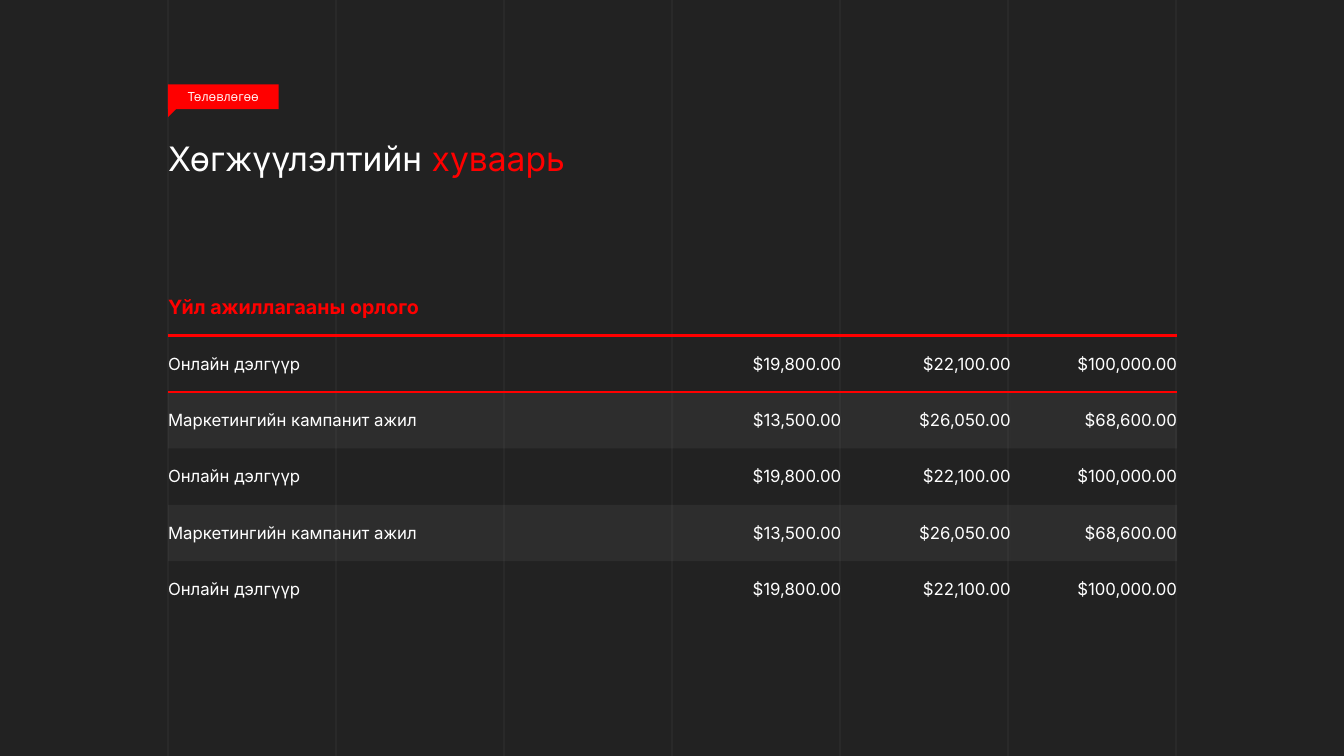
import lxml.etree
import pptx
import pptx.dml.color
import pptx.enum.shapes
import pptx.enum.text
import pptx.oxml
import pptx.oxml.ns
import pptx.util
from dataclasses import dataclass

Cm, Pt = pptx.util.Cm, pptx.util.Pt
qn = pptx.oxml.ns.qn
SHAPE = pptx.enum.shapes.MSO_SHAPE
ALIGN = pptx.enum.text.PP_ALIGN
MIDDLE = pptx.enum.text.MSO_ANCHOR.MIDDLE

TAG = "Төлөвлөгөө"
TITLE = ("Хөгжүүлэлтийн ", "хуваарь")
HEADING = "Үйл ажиллагааны орлого"
SHOP = ("Онлайн дэлгүүр", "$19,800.00", "$22,100.00", "$100,000.00")
CAMPAIGN = ("Маркетингийн кампанит ажил", "$13,500.00", "$26,050.00", "$68,600.00")
ROWS = [SHOP, CAMPAIGN, SHOP, CAMPAIGN, SHOP]


@dataclass(frozen=True)
class Theme:
    back: str = "222222"
    accent: str = "FF0000"
    text: str = "FFFFFF"
    font: str = "Inter"
    tag_font: str = "Open Sans"
    title_size: int = 24
    heading_size: int = 14
    body_size: int = 12
    tag_size: int = 9
    grid_width: float = 0.5
    rule_width: float = 2.25
    grid_alpha: int = 10
    band_alpha: int = 5


THEME = Theme()
SLIDE_W, SLIDE_H = 33.87, 19.05
STEP = SLIDE_W / 8
LEFT = STEP
TAG_TOP, TAG_W, TAG_H, TAIL = 2.13, 2.79, 0.62, 0.2
TITLE_TOP, TITLE_H = 3.48, 2.84
TABLE_TOP, ROW_H = 7.04, 1.42
COLUMNS = (12.75, 4.22, 4.27, 4.19)
NO_GRID_STYLE = "{2D5ABB26-0587-4C30-8999-92F81FD0307C}"


def rgb(colour):
    return pptx.dml.color.RGBColor.from_string(colour)


def set_alpha(element, percent):
    """Make the solid colour inside element partly transparent."""
    colour = next(element.iter(qn("a:srgbClr")))
    lxml.etree.SubElement(colour, qn("a:alpha")).set("val", str(percent * 1000))


def set_font(item, size, colour, name=THEME.font, bold=False):
    font = item.font
    font.size, font.name, font.bold = Pt(size), name, bold
    font.color.rgb = rgb(colour)


def add_grid_line(slide, x):
    line = slide.shapes.add_connector(
        pptx.enum.shapes.MSO_CONNECTOR.STRAIGHT, Cm(x), 0, Cm(x), Cm(SLIDE_H))
    line.line.width = Pt(THEME.grid_width)
    line.line.color.rgb = rgb(THEME.text)
    sp_pr = line._element.spPr
    set_alpha(sp_pr, THEME.grid_alpha)
    lxml.etree.SubElement(sp_pr, qn("a:effectLst"))


def add_red_shape(slide, kind, top, width, height):
    s = slide.shapes.add_shape(kind, Cm(LEFT), Cm(top), Cm(width), Cm(height))
    s.shadow.inherit = False
    s.fill.solid()
    s.fill.fore_color.rgb = rgb(THEME.accent)
    s.line.fill.background()
    return s


def add_tag(slide):
    s = add_red_shape(slide, SHAPE.RECTANGLE, TAG_TOP, TAG_W, TAG_H)
    s.text_frame.vertical_anchor = MIDDLE
    p = s.text_frame.paragraphs[0]
    p.text, p.alignment = TAG, ALIGN.CENTER
    set_font(p, THEME.tag_size, THEME.text, THEME.tag_font)
    tail = add_red_shape(slide, SHAPE.RIGHT_TRIANGLE, TAG_TOP + TAG_H, TAIL, TAIL)
    tail.rotation = 90


def add_title(slide):
    box = slide.shapes.add_textbox(Cm(LEFT), Cm(TITLE_TOP), Cm(3 * STEP), Cm(TITLE_H))
    tf = box.text_frame
    tf.word_wrap = True
    tf.margin_left = tf.margin_right = tf.margin_top = tf.margin_bottom = 0
    for text, colour in zip(TITLE, (THEME.text, THEME.accent)):
        r = tf.paragraphs[0].add_run()
        r.text = text
        set_font(r, THEME.title_size, colour)


def add_rule(cell, side):
    """Draw the accent rule on one side of a cell: lnT or lnB."""
    line = pptx.oxml.parse_xml(
        f'<a:{side} {pptx.oxml.ns.nsdecls("a")} w="{Pt(THEME.rule_width)}">'
        f'<a:solidFill><a:srgbClr val="{THEME.accent}"/></a:solidFill></a:{side}>')
    cell._tc.get_or_add_tcPr().insert(0, line)


def style_cell(cell, banded):
    cell.margin_left = cell.margin_right = 0
    cell.vertical_anchor = MIDDLE
    if banded:
        cell.fill.solid()
        cell.fill.fore_color.rgb = rgb(THEME.text)
        set_alpha(cell._tc.tcPr, THEME.band_alpha)
    else:
        cell.fill.background()


def add_income_table(slide):
    n_rows, n_cols = len(ROWS) + 1, len(COLUMNS)
    table = slide.shapes.add_table(
        n_rows, n_cols, Cm(LEFT), Cm(TABLE_TOP),
        Cm(sum(COLUMNS)), Cm(n_rows * ROW_H)).table
    table.first_row = table.horz_banding = False
    next(table._tbl.iter(qn("a:tableStyleId"))).text = NO_GRID_STYLE
    for column, width in zip(table.columns, COLUMNS):
        column.width = Cm(width)
    for row in table.rows:
        row.height = Cm(ROW_H)

    for i, values in enumerate([(HEADING,) + ("",) * (n_cols - 1)] + ROWS):
        for j, value in enumerate(values):
            cell = table.cell(i, j)
            style_cell(cell, banded=i > 0 and i % 2 == 0)
            if i < 2:
                add_rule(cell, "lnT" if i else "lnB")
            p = cell.text_frame.paragraphs[0]
            p.text = value
            p.alignment = ALIGN.RIGHT if j else ALIGN.LEFT
            if i:
                set_font(p, THEME.body_size, THEME.text)
            else:
                set_font(p, THEME.heading_size, THEME.accent, bold=True)
    table.cell(0, 0).merge(table.cell(0, n_cols - 1))


def main():
    prs = pptx.Presentation()
    prs.slide_width, prs.slide_height = Cm(SLIDE_W), Cm(SLIDE_H)
    slide = prs.slides.add_slide(prs.slide_layouts[6])
    slide.background.fill.solid()
    slide.background.fill.fore_color.rgb = rgb(THEME.back)
    for k in range(1, 8):
        add_grid_line(slide, k * STEP)
    add_title(slide)
    add_income_table(slide)
    add_tag(slide)
    prs.save("out.pptx")


if __name__ == "__main__":
    main()
